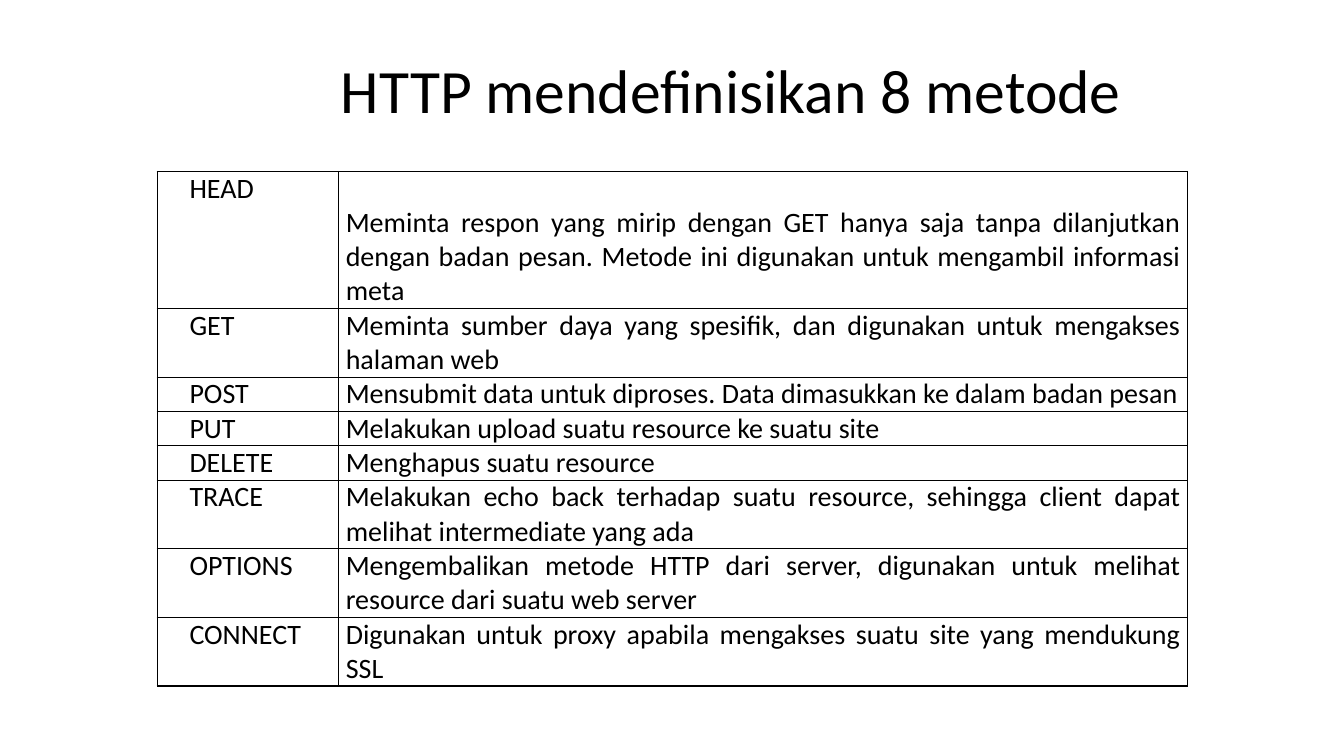
from lxml.etree import SubElement
from pptx import Presentation
from pptx.dml.color import RGBColor
from pptx.enum.text import MSO_ANCHOR as Anchor, PP_ALIGN as Align
from pptx.oxml.ns import qn
from pptx.util import Pt

PX = 9144
LINE_HEIGHT = 34
CELL_MARGIN = 7
METHOD_INDENT = 25
COLUMN_WIDTHS = (180, 842)
INK = "000000"

# Each entry: method, description, lines of text, blank lines above it
METHODS = [
    ("HEAD", "Meminta respon yang mirip dengan GET hanya saja tanpa dilanjutkan "
     "dengan badan pesan. Metode ini digunakan untuk mengambil informasi meta", 3, 1),
    ("GET", "Meminta sumber daya yang spesifik, dan digunakan untuk mengakses "
     "halaman web", 2, 0),
    ("POST", "Mensubmit data untuk diproses. Data dimasukkan ke dalam badan pesan", 1, 0),
    ("PUT", "Melakukan upload suatu resource ke suatu site", 1, 0),
    ("DELETE", "Menghapus suatu resource", 1, 0),
    ("TRACE", "Melakukan echo back terhadap suatu resource, sehingga client dapat "
     "melihat intermediate yang ada", 2, 0),
    ("OPTIONS", "Mengembalikan metode HTTP dari server, digunakan untuk melihat "
     "resource dari suatu web server", 2, 0),
    ("CONNECT", "Digunakan untuk proxy apabila mengakses suatu site yang mendukung "
     "SSL", 2, 0),
]


def px(*lengths):
    """Turn px lengths into EMU."""
    return [length * PX for length in lengths]


def color(hex_code):
    """Turn a hex string into a colour."""
    return RGBColor.from_string(hex_code)


def style_text(paragraph, size, align):
    """Format a paragraph and its runs."""
    paragraph.alignment = align
    for run in paragraph.runs:
        run.font.name = "Calibri"
        run.font.size = Pt(size)
        run.font.color.rgb = color(INK)


def add_borders(cell):
    """Draw a thin line on all four sides of a cell."""
    properties = cell._tc.get_or_add_tcPr()
    for side in ("a:lnL", "a:lnR", "a:lnT", "a:lnB"):
        line = SubElement(properties, qn(side), w=str(Pt(1)))
        fill = SubElement(line, qn("a:solidFill"))
        SubElement(fill, qn("a:srgbClr"), val=INK)


def fill_cell(cell, text, blank_lines=0, indent=0):
    """Write one justified, bordered cell."""
    cell.margin_left, cell.margin_right, cell.margin_top, cell.margin_bottom = px(
        CELL_MARGIN, CELL_MARGIN, blank_lines * LINE_HEIGHT, 0)
    add_borders(cell)
    cell.fill.background()
    cell.text = text
    paragraph = cell.text_frame.paragraphs[0]
    if indent:
        paragraph._p.get_or_add_pPr().set("indent", str(indent * PX))
    style_text(paragraph, 20, Align.JUSTIFY)


def place_title(slide, text, left, top, width, height):
    """Place the slide title in the given box."""
    title = slide.shapes.title
    title.left, title.top, title.width, title.height = px(left, top, width, height)
    title.text_frame.text = text
    title.text_frame.vertical_anchor = Anchor.MIDDLE
    paragraph = title.text_frame.paragraphs[0]
    paragraph.line_spacing = 0.9
    style_text(paragraph, 44, Align.LEFT)


def place_methods(slide, left, top):
    """Place the table of methods with its corner at the given point."""
    heights = [(lines + blanks) * LINE_HEIGHT for _, _, lines, blanks in METHODS]
    box = px(left, top, sum(COLUMN_WIDTHS), sum(heights))
    table = slide.shapes.add_table(len(METHODS), len(COLUMN_WIDTHS), *box).table
    table.first_row = table.horz_banding = False
    for column, width in zip(table.columns, px(*COLUMN_WIDTHS)):
        column.width = width
    for row, height, (method, description, _, blanks) in zip(
            table.rows, px(*heights), METHODS):
        row.height = height
        method_cell, description_cell = row.cells
        fill_cell(method_cell, method, indent=METHOD_INDENT)
        fill_cell(description_cell, description, blank_lines=blanks)


def main():
    """Build and save the slide."""
    deck = Presentation()
    deck.slide_width, deck.slide_height = px(1333, 750)
    slide = deck.slides.add_slide(deck.slide_layouts[5])
    place_title(slide, "HTTP mendefinisikan 8 metode", 328, 40, 914, 105)
    place_methods(slide, 156, 170)
    deck.save("out.pptx")


if __name__ == "__main__":
    main()
